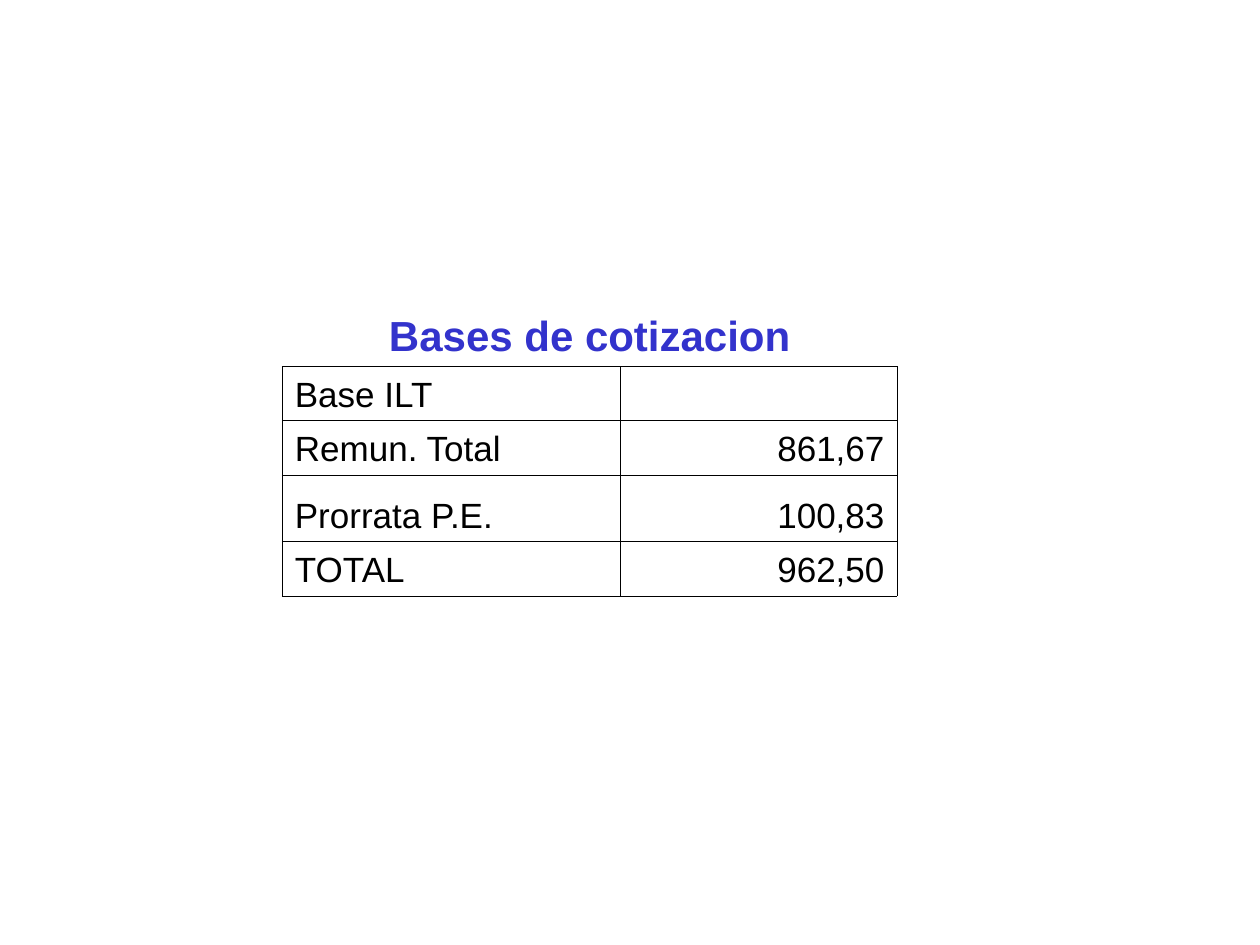
from lxml.etree import SubElement
from pptx import Presentation
from pptx.dml.color import RGBColor
from pptx.enum.text import MSO_ANCHOR, PP_ALIGN
from pptx.oxml.ns import qn
from pptx.util import Inches, Pt

TITLE = "Bases de cotizacion"
BASES = [
    ("Base ILT", ""),
    ("Remun. Total", "861,67"),
    ("Prorrata P.E.", "100,83"),
    ("TOTAL", "962,50"),
]
COLUMN_WIDTHS = [2.68, 2.2]
ROW_HEIGHTS = [0.5, 0.43, 0.43, 0.53, 0.43]
LEFT, TOP = 2.24, 2.41
COLORS = {"title": "3333CC", "text": "000000", "border": "000000"}
FONT = "Arial"


def add_borders(cell, visible):
    """Draw the sides named in visible (from L, R, T, B) and hide the rest."""
    properties = cell._tc.get_or_add_tcPr()
    for side in "LRTB":
        line = SubElement(properties, qn(f"a:ln{side}"), w=str(Pt(0.45)))
        if side in visible:
            fill = SubElement(line, qn("a:solidFill"))
            SubElement(fill, qn("a:srgbClr"), val=COLORS["border"])
        else:
            SubElement(line, qn("a:noFill"))


def write_cell(cell, text, align, size=20, color="text", bold=False, borders="LRTB"):
    add_borders(cell, borders)
    cell.fill.background()
    cell.vertical_anchor = MSO_ANCHOR.BOTTOM
    cell.margin_left = cell.margin_right = Inches(0.1)
    cell.margin_top = cell.margin_bottom = Inches(0.05)
    para = cell.text_frame.paragraphs[0]
    para.text = text
    para.alignment = align
    for span in para.runs:
        span.font.name = FONT
        span.font.size = Pt(size)
        span.font.bold = bold
        span.font.color.rgb = RGBColor.from_string(COLORS[color])


def main():
    deck = Presentation()
    deck.slide_width, deck.slide_height = Inches(10), Inches(7.5)
    page = deck.slides.add_slide(deck.slide_layouts[6])

    table = page.shapes.add_table(
        len(ROW_HEIGHTS), len(COLUMN_WIDTHS), Inches(LEFT), Inches(TOP),
        Inches(sum(COLUMN_WIDTHS)), Inches(sum(ROW_HEIGHTS))).table
    table.first_row = table.horz_banding = False
    for column, width in zip(table.columns, COLUMN_WIDTHS):
        column.width = Inches(width)
    for row, height in zip(table.rows, ROW_HEIGHTS):
        row.height = Inches(height)

    for cell in table.rows[0].cells:
        add_borders(cell, "B")
        cell.fill.background()
    title_cell = table.cell(0, 0)
    title_cell._tc.remove(title_cell._tc.tcPr)
    title_cell.merge(table.cell(0, 1))
    write_cell(title_cell, TITLE, PP_ALIGN.CENTER, 24, "title", True, "B")

    for row, values in enumerate(BASES, start=1):
        for column, (text, align) in enumerate(zip(values, (PP_ALIGN.LEFT, PP_ALIGN.RIGHT))):
            write_cell(table.cell(row, column), text, align)

    deck.save("out.pptx")


if __name__ == "__main__":
    main()
